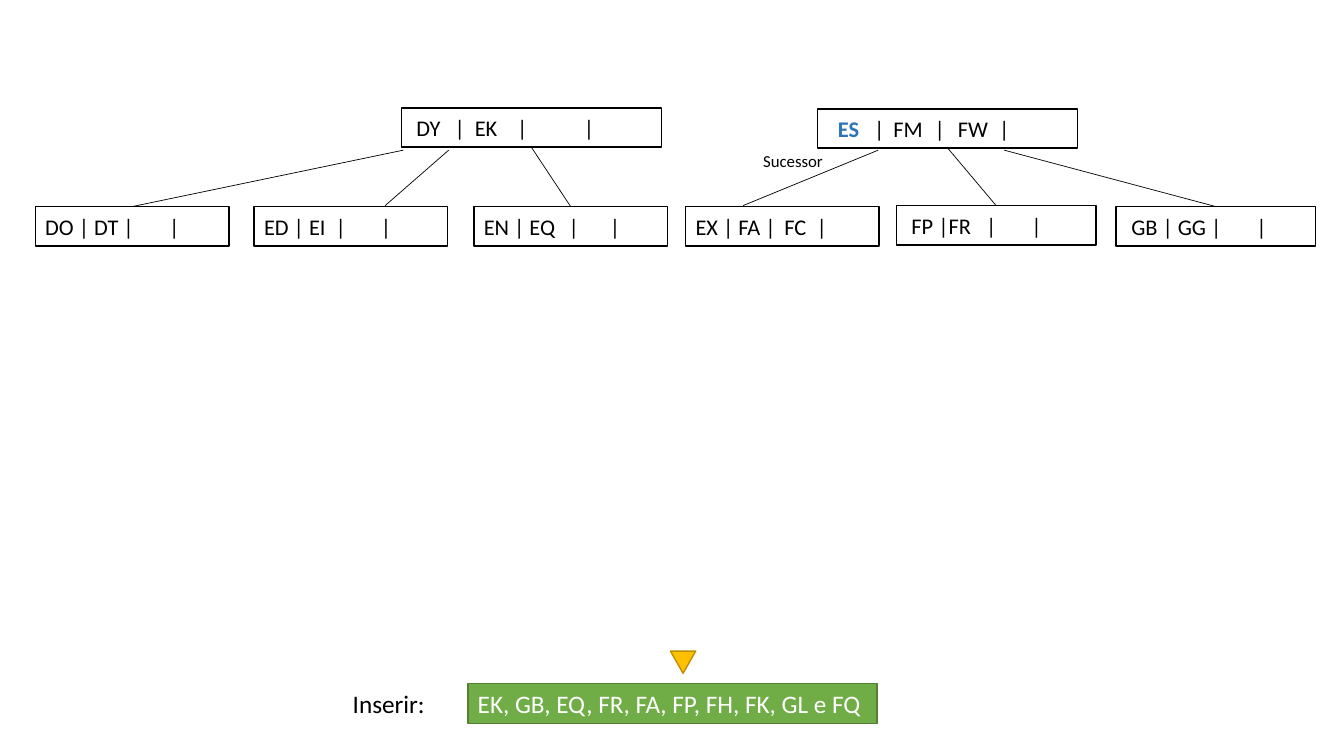
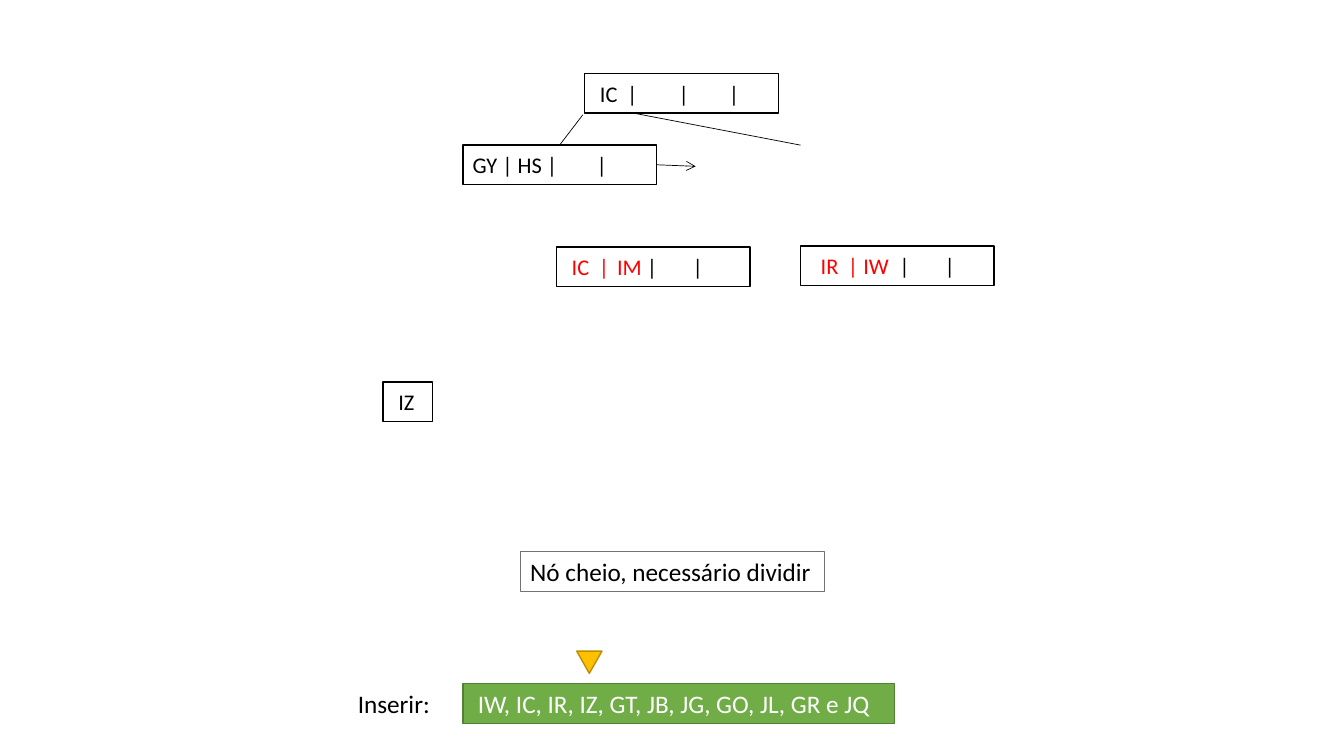
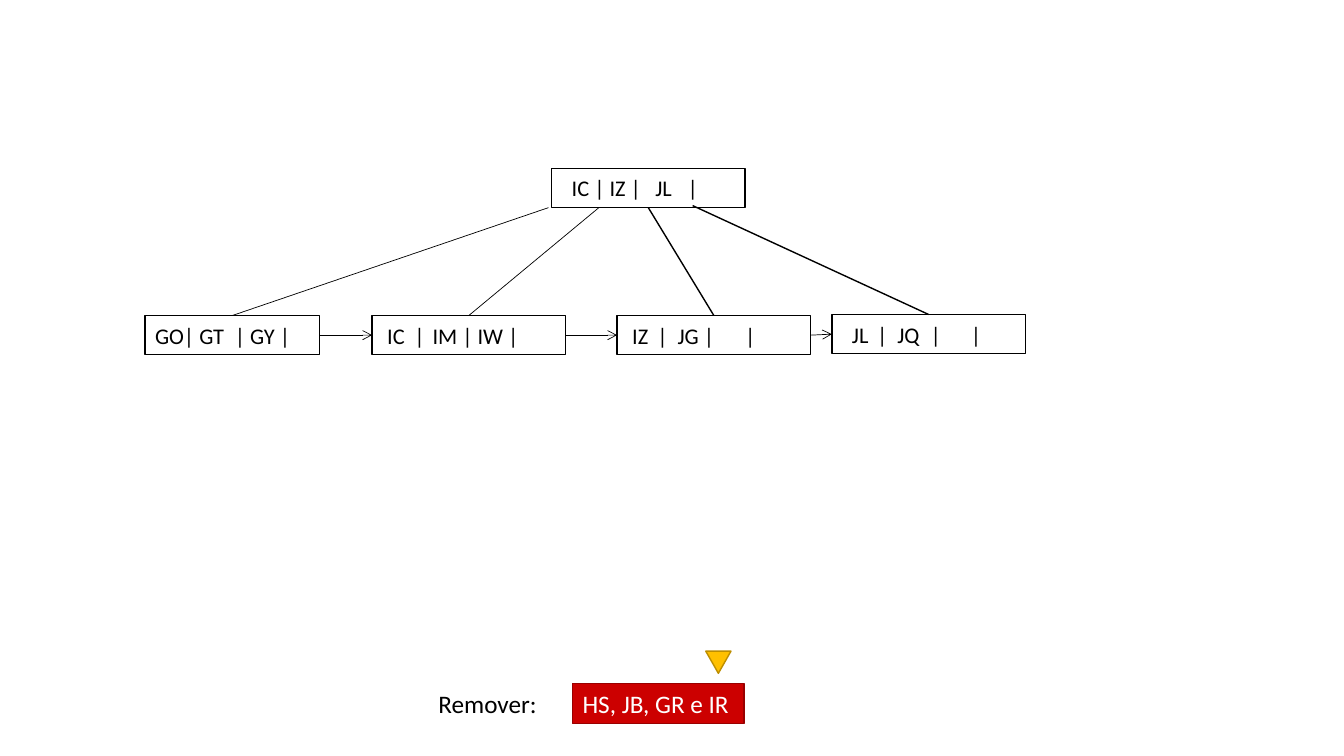
from math import dist
from lxml.etree import SubElement
from pptx import Presentation
from pptx.dml.color import RGBColor
from pptx.enum.shapes import MSO_CONNECTOR, MSO_SHAPE
from pptx.enum.text import MSO_ANCHOR, PP_ALIGN
from pptx.oxml.ns import qn
from pptx.util import Inches, Pt

# Shared look
FONT = "Calibri"
BLACK, WHITE, RED, BLUE = "000000", "FFFFFF", "FF0000", "2E75B6"
GREEN, MOSS = "70AD47", "538035"
CRIMSON, WINE = "CC0000", "990000"
GOLD, OCHRE, GREY = "FFC000", "BD8E00", "767171"
WIDE, TALL = 1.92, 0.39
tint = RGBColor.from_string

deck = Presentation()
deck.slide_width, deck.slide_height = Inches(13.33), Inches(7.5)


def put(page, x, y, w, h, text="", kind=MSO_SHAPE.RECTANGLE, fill=None, line=None,
        weight=1, size=18, color=BLACK, inset=0.1, stops=()):
    """Text is a string or a list of (text, colour, bold); stops count from the left side."""
    area = [Inches(v) for v in (x, y, w, h)]
    if line:
        shape = page.shapes.add_shape(kind, *area)
        shape.shadow.inherit = False
        shape.line.color.rgb = tint(line)
        shape.line.width = Pt(weight)
        if fill:
            shape.fill.solid()
            shape.fill.fore_color.rgb = tint(fill)
        else:
            shape.fill.background()
    else:
        shape = page.shapes.add_textbox(*area)
    if not text:
        return shape
    frame = shape.text_frame
    frame.word_wrap = True
    frame.vertical_anchor = MSO_ANCHOR.MIDDLE
    frame.margin_left, frame.margin_right = Inches(inset), 0
    para = frame.paragraphs[0]
    para.alignment = PP_ALIGN.LEFT
    if stops:
        tabs = SubElement(para._p.get_or_add_pPr(), qn("a:tabLst"))
        for stop in stops:
            SubElement(tabs, qn("a:tab"), pos=str(Inches(stop - inset)), algn="l")
    for part, tone, bold in [(text, color, False)] if isinstance(text, str) else text:
        run = para.add_run()
        run.text = part
        run.font.name, run.font.size, run.font.bold = FONT, Pt(size), bold
        run.font.color.rgb = tint(tone)
    return shape


def link(page, nodes, start, end, weight=0.5, arrow=False):
    """Draw a line and join each end that meets the middle of a node's side."""
    points = [Inches(v) for v in (*start, *end)]
    wire = page.shapes.add_connector(MSO_CONNECTOR.STRAIGHT, *points)
    wire.line.color.rgb = tint(BLACK)
    wire.line.width = Pt(weight)
    if arrow:
        SubElement(wire.line._get_or_add_ln(), qn("a:tailEnd"), type="arrow")
    SubElement(wire._element.spPr, qn("a:effectLst"))
    for point, join in ((start, wire.begin_connect), (end, wire.end_connect)):
        for node in nodes:
            x, y, w, h = (v.inches for v in (node.left, node.top, node.width, node.height))
            sides = ((x + w / 2, y), (x, y + h / 2), (x + w / 2, y + h), (x + w, y + h / 2))
            for site, side in enumerate(sides):
                if dist(point, side) < 0.06:
                    join(node, site)


# Nodes: x, y, width, text, inset, tab stops
# Links: start, end, weight, arrow
# Footer: label, label x, label width, bar x, bar width, keys, inset, marker x, fill, line
pages = [
    dict(
        nodes=[
            (3.98, 1.07, 2.58, "DY\t|\tEK\t|\t|", 0.15, (0.53, 0.73, 1.15, 1.81)),
            (8.11, 1.08, 2.58, [("ES", BLUE, True), ("\t|\tFM\t|\tFW\t|", BLACK, False)],
             0.2, (0.56, 0.75, 1.16, 1.39, 1.8)),
            (0.35, 2.05, WIDE, "DO | DT |\t|", 0.1, (1.33,)),
            (2.52, 2.05, WIDE, "ED | EI\t|\t|", 0.1, (0.81, 1.26)),
            (4.7, 2.05, WIDE, "EN | EQ\t|\t|", 0.1, (0.94, 1.35)),
            (6.8, 2.05, WIDE, "EX | FA |\tFC\t|", 0.1, (0.98, 1.3)),
            (8.89, 2.04, 1.98, "FP |FR\t|\t|", 0.15, (0.89, 1.34)),
            (11.07, 2.05, 1.98, "GB | GG |\t|", 0.15, (1.39,)),
        ],
        links=[
            ((4, 1.49), (1.27, 2.06), 0.5, False),
            ((4.45, 1.49), (3.82, 2.04), 0.5, False),
            ((5.22, 1.45), (5.62, 2.06), 0.5, False),
            ((8.71, 1.49), (7.37, 2.04), 0.5, False),
            ((9.36, 1.46), (9.85, 2.05), 0.5, False),
            ((9.96, 1.49), (12.03, 2.07), 0.5, False),
        ],
        foot=("Inserir:", 3.4, 0.99, 4.64, 4.06, "EK, GB, EQ, FR, FA, FP, FH, FK, GL e FQ",
              0.1, 6.65, GREEN, MOSS),
        notes=[(7.47, 1.45, 0.88, 0.3, "Sucessor", dict(size=12))],
    ),
    dict(
        nodes=[
            (5.8, 0.73, WIDE, "IC\t|\t|\t|", 0.15, (0.42, 0.93, 1.43)),
            (4.59, 1.44, WIDE, "GY | HS |\t|", 0.1, (1.33,)),
            (5.52, 2.45, WIDE, [("IC\t|\tIM ", RED, False), ("|\t|", BLACK, False)],
             0.15, (0.42, 0.6, 1.35)),
            (7.94, 2.44, WIDE, [("IR\t| IW", RED, False), ("\t|\t|", BLACK, False)],
             0.2, (0.47, 0.98, 1.43)),
            (3.8, 3.79, 0.49, "IZ", 0.15, ()),
        ],
        links=[
            ((5.78, 1.14), (5.52, 1.46), 0.5, False),
            ((6.27, 1.12), (7.94, 1.44), 0.5, False),
            ((6.51, 1.64), (6.9, 1.65), 0.5, True),
        ],
        foot=("Inserir:", 3.45, 0.99, 4.59, 4.28, "IW, IC, IR, IZ, GT, JB, JG, GO, JL, GR e JQ",
              0.15, 5.72, GREEN, MOSS),
        notes=[(5.16, 5.47, 3.02, 0.4, "Nó cheio, necessário dividir",
                dict(line=GREY, weight=0.75))],
    ),
    dict(
        nodes=[
            (5.47, 1.67, WIDE, "IC | IZ |\tJL\t|", 0.2, (1.03, 1.35)),
            (1.44, 3.13, 1.73, "GO| GT\t| GY |", 0.1, (0.89,)),
            (3.69, 3.13, WIDE, "IC\t|\tIM | IW |", 0.15, (0.42, 0.6)),
            (6.12, 3.13, WIDE, "IZ\t|\tJG |\t|", 0.15, (0.4, 0.6, 1.27)),
            (8.25, 3.12, WIDE, "JL\t|\tJQ\t|\t|", 0.2, (0.45, 0.65, 0.98, 1.38)),
        ],
        links=[
            ((5.44, 2.06), (2.27, 3.15), 0.5, False),
            ((5.94, 2.06), (4.62, 3.15), 0.5, False),
            ((6.4, 2.05), (7.05, 3.15), 1, False),
            ((6.87, 2.04), (9.17, 3.13), 1, False),
            ((3.16, 3.35), (3.68, 3.35), 0.5, True),
            ((5.61, 3.35), (6.09, 3.33), 0.5, True),
            ((8.04, 3.33), (8.25, 3.32), 0.5, True),
        ],
        foot=("Remover:", 4.25, 1.28, 5.68, 1.7, "HS, JB, GR e IR",
              0.1, 7, CRIMSON, WINE),
        notes=[],
    ),
]

for plan in pages:
    page = deck.slides.add_slide(deck.slide_layouts[6])

    # Tree
    nodes = [put(page, x, y, w, TALL, text, fill=WHITE, line=BLACK, size=16,
                 inset=inset, stops=stops)
             for x, y, w, text, inset, stops in plan["nodes"]]
    for start, end, weight, arrow in plan["links"]:
        link(page, nodes, start, end, weight, arrow)

    # Remarks
    for x, y, w, h, text, style in plan["notes"]:
        put(page, x, y, w, h, text, **style)

    # Footer with the key list and its marker
    label, left, room, x, w, keys, inset, mark, fill, line = plan["foot"]
    put(page, left, 6.78, room, 0.4, label)
    put(page, x, 6.78, w, 0.4, keys, fill=fill, line=line, color=WHITE, inset=inset)
    put(page, mark, 6.46, 0.25, 0.22, kind=MSO_SHAPE.FLOWCHART_MERGE, fill=GOLD, line=OCHRE)

deck.save("out.pptx")
